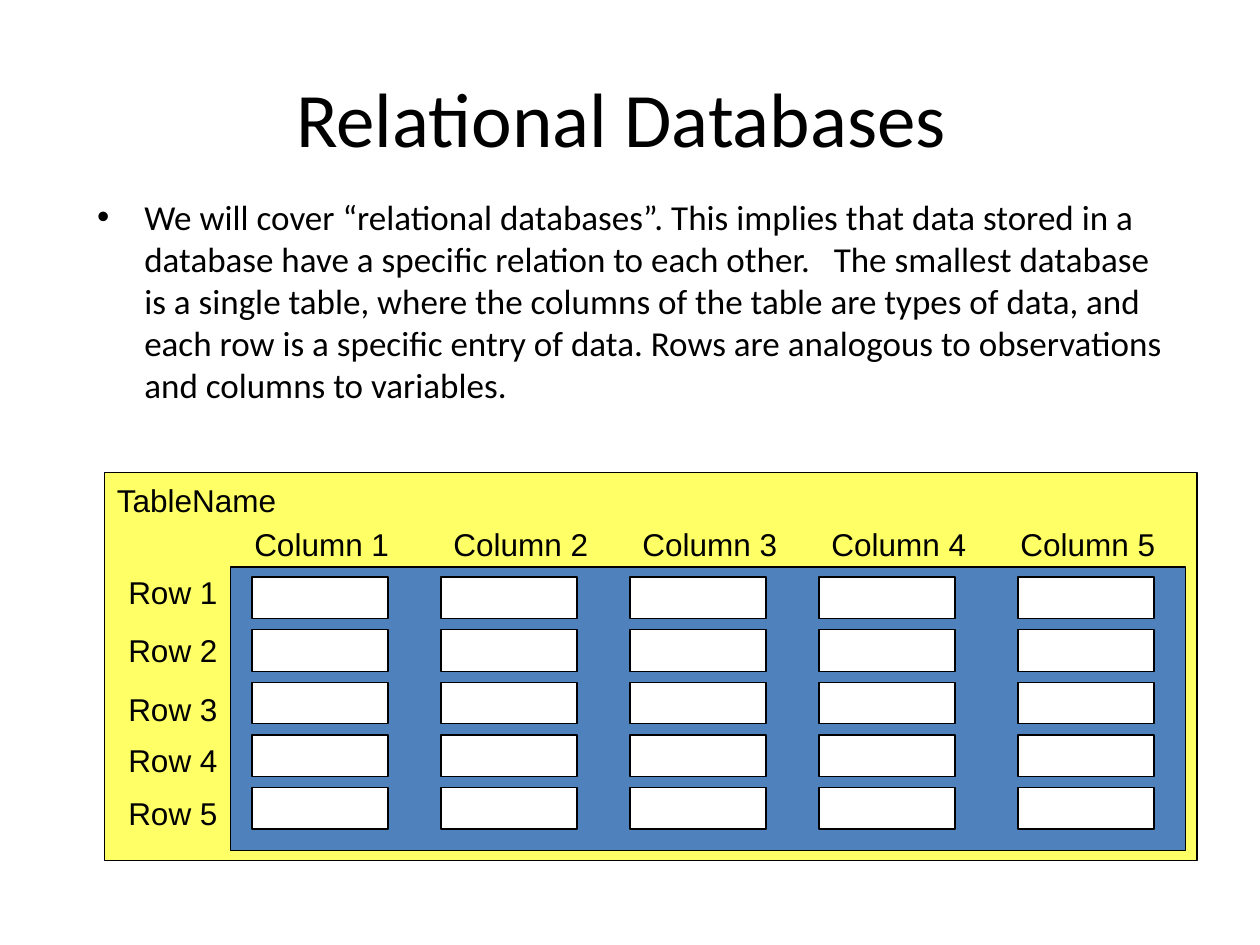
"""Build a slide that explains relational databases with a labelled table diagram."""
from pptx import Presentation
from pptx import util as u
from pptx.dml.color import RGBColor
from pptx.enum import shapes, text


def add_box(group, left, top, width, height, fill):
    box = group.shapes.add_shape(shapes.MSO_SHAPE.RECTANGLE, u.Inches(left), u.Inches(top),
                                 u.Inches(width), u.Inches(height))
    box.shadow.inherit = False
    box.fill.solid()
    box.fill.fore_color.rgb = RGBColor.from_string(fill)
    box.line.color.rgb = RGBColor.from_string("000000")
    box.line.width = u.Pt(0.75)


def add_label(group, left, top, wording):
    label = group.shapes.add_textbox(u.Inches(left), u.Inches(top), u.Inches(1.5), u.Inches(0.4))
    label.text_frame.word_wrap = True
    label.text_frame.auto_size = text.MSO_AUTO_SIZE.SHAPE_TO_FIT_TEXT
    para = label.text_frame.paragraphs[0]
    para.text = wording
    para.font.name = "Arial"
    para.font.size = u.Pt(18)
    para.font.color.rgb = RGBColor.from_string("000000")


deck = Presentation()
deck.slide_width, deck.slide_height = u.Inches(10), u.Inches(7.5)
page = deck.slides.add_slide(deck.slide_layouts[1])

title, body = page.placeholders
title.text = "Relational Databases "
body.text = (
    "We will cover “relational databases”. This implies that data stored in a database have "
    "a specific relation to each other.   The smallest database is a single table, where the "
    "columns of the table are types of data, and each row is a specific entry of data. Rows "
    "are analogous to observations and columns to variables."
)
for holder, place, size in [(title, (0.5, 0.3, 9, 1.25), 44), (body, (0.67, 1.5, 8.67, 2.5), 20)]:
    holder.left, holder.top, holder.width, holder.height = map(u.Inches, place)
    holder.text_frame.auto_size = text.MSO_AUTO_SIZE.NONE
    para = holder.text_frame.paragraphs[0]
    para.font.name = "Calibri"
    para.font.size = u.Pt(size)
    para.font.color.rgb = RGBColor.from_string("000000")

diagram = page.shapes.add_group_shape()
add_box(diagram, 0.83, 3.75, 8.67, 3.08, "FFFF66")
add_label(diagram, 0.83, 3.77, "TableName")
for number, left in enumerate([1.92, 3.5, 5, 6.5, 8], 1):
    add_label(diagram, left, 4.12, f"Column {number}")
for number, top in enumerate([4.5, 4.96, 5.43, 5.83, 6.25], 1):
    add_label(diagram, 0.92, top, f"Row {number}")

add_box(diagram, 1.83, 4.5, 7.58, 2.25, "4F81BD")
for row in range(5):
    for left in [2, 3.5, 5, 6.5, 8.08]:
        add_box(diagram, left, 4.58 + row * 1.67 / 4, 1.08, 0.33, "FFFFFF")

deck.save("out.pptx")
